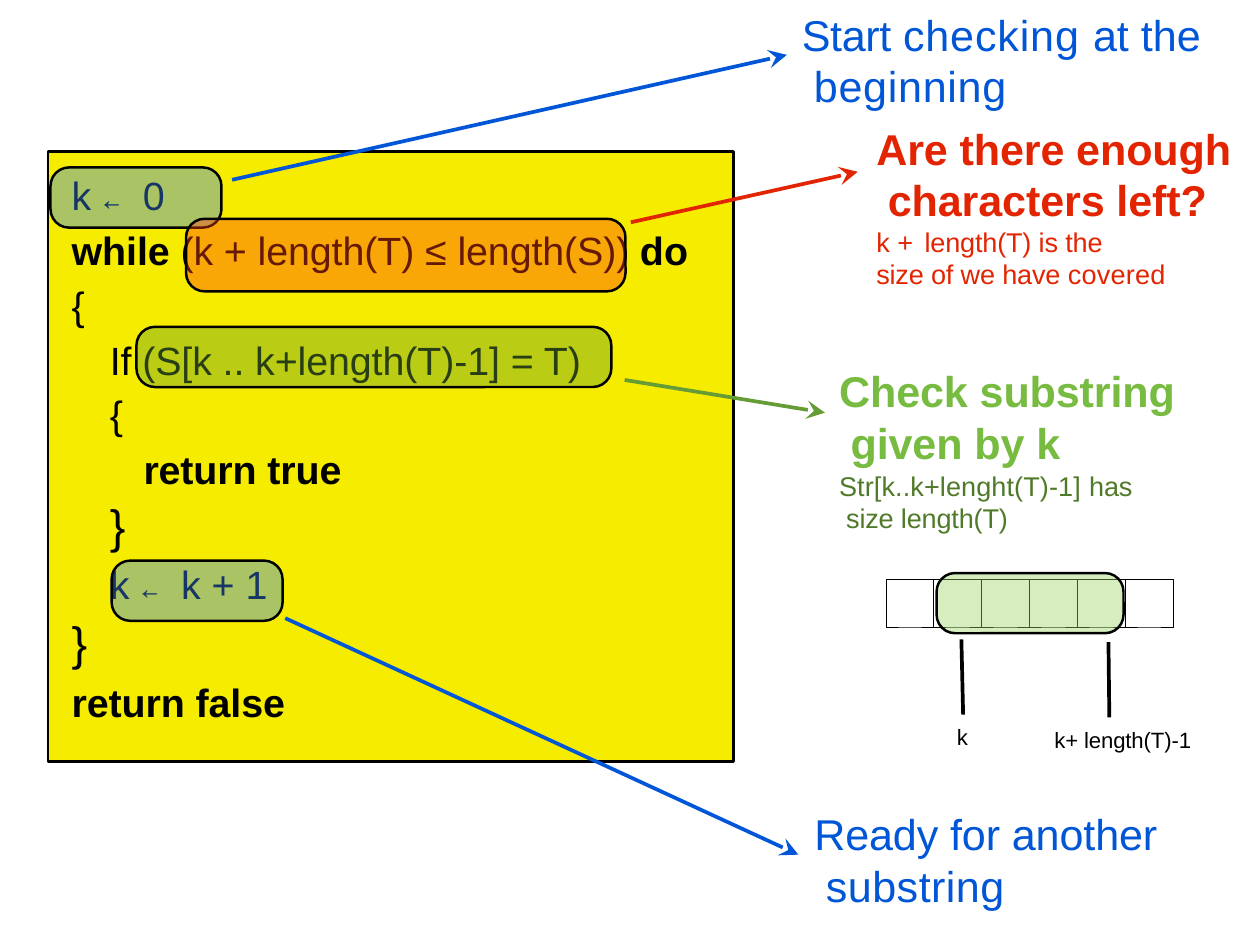
from pptx import Presentation
from pptx.dml.color import RGBColor
from pptx.enum.shapes import MSO_CONNECTOR, MSO_SHAPE
from pptx.enum.text import MSO_ANCHOR, MSO_AUTO_SIZE, PP_ALIGN
from pptx.oxml.ns import qn
from pptx.util import Inches, Pt
from lxml.etree import SubElement

BLACK = RGBColor(0x00, 0x00, 0x00)
YELLOW = RGBColor(0xF5, 0xEC, 0x00)
BLUE = RGBColor(0x00, 0x56, 0xD6)
LIGHT_BLUE = RGBColor(0x3A, 0x88, 0xFE)
RED = RGBColor(0xE3, 0x24, 0x00)
ORANGE = RGBColor(0xFF, 0x40, 0x13)
GREEN = RGBColor(0x66, 0x9C, 0x35)
LIME = RGBColor(0x77, 0xBB, 0x41)
DARK_GREEN = RGBColor(0x4F, 0x7A, 0x28)
PALE_GREEN = RGBColor(0x96, 0xD3, 0x5F)


def write(sp, box, paragraphs, color):
    sp.left, sp.top, sp.width, sp.height = [Inches(v) for v in box]
    tf = sp.text_frame
    tf.word_wrap = True
    tf.auto_size = MSO_AUTO_SIZE.NONE
    tf.vertical_anchor = MSO_ANCHOR.TOP
    tf.margin_left = tf.margin_top = tf.margin_right = tf.margin_bottom = 0
    for i, (indent, hang, before, leading, runs) in enumerate(paragraphs):
        p = tf.paragraphs[0] if i == 0 else tf.add_paragraph()
        p.alignment = PP_ALIGN.LEFT
        pPr = p._p.get_or_add_pPr()
        pPr.set("marL", str(Inches(indent + hang)))
        pPr.set("indent", str(-Inches(hang)))
        p.space_before = Pt(before)
        if leading:
            p.line_spacing = leading
        for text, size, bold, spacing, run_color in runs:
            r = p.add_run()
            r.text = text
            r.font.name = "Noto Sans Mono" if "←" in text else "Arial"
            r.font.size = Pt(size)
            r.font.bold = bold
            r.font.color.rgb = run_color or color
            r._r.get_or_add_rPr().set("spc", str(round(spacing * 100)))


def connect(x1, y1, x2, y2, color, arrow):
    c = s.shapes.add_connector(MSO_CONNECTOR.STRAIGHT, Inches(x1), Inches(y1), Inches(x2), Inches(y2))
    c.line.color.rgb = color
    c.line.width = Pt(3)
    if arrow:
        SubElement(c.line._get_or_add_ln(), qn("a:tailEnd"), type="stealth", w="lg", len="lg")
    SubElement(c._element.spPr, qn("a:effectLst"))


prs = Presentation()
prs.slide_width, prs.slide_height = Inches(14.22), Inches(10.67)
s = prs.slides.add_slide(prs.slide_layouts[5])

panel = s.shapes.add_shape(MSO_SHAPE.RECTANGLE, Inches(0.54), Inches(1.71), Inches(7.74), Inches(6.89))
panel.shadow.inherit = False
panel.fill.solid()
panel.fill.fore_color.rgb = YELLOW
panel.line.color.rgb = BLACK
panel.line.width = Pt(2)

code = [
    (0.01, 0, [("k ", 32, False, 0), ("← ", 25, False, 1.5), ("0", 32, False, 0)]),
    (0.01, 6.6, [("while ", 32, True, -0.1), ("(k + length(T) ≤ length(S)) ", 32, False, -0.1), ("do", 32, True, 0)]),
    (0.01, 6.6, [("{", 32, False, 0)]),
    (0.44, 5.6, [("If (S[k .. k+length(T)-1] = T)", 32, False, -0.1)]),
    (0.44, 5.6, [("{", 32, False, 0)]),
    (0.82, 6.2, [("return true", 32, True, -0.1)]),
    (0.44, 4.2, [("}", 38, False, 0)]),
    (0.44, 5.8, [("k ", 32, False, 0), ("← ", 25, False, 1.5), ("k + 1", 32, False, 0)]),
    (0.01, 5.2, [("}", 38, False, 0)]),
    (0.01, 6.8, [("return false", 32, True, -0.1)]),
]
write(s.shapes.add_textbox(0, 0, 0, 0), (0.8, 1.93, 7.03, 6.27),
      [(indent, 0, before, None, [(*run, None) for run in runs]) for indent, before, runs in code], BLACK)

write(s.shapes.title, (9.04, 0.09, 4.52, 1.19), [
    (0.01, 0, 0, None, [("Start ", 35, False, -0.3, None), ("checking ", 35, False, 0.7, None),
                        ("at the  ", 35, False, 0, None), ("beginning", 35, False, 0.6, None)]),
], BLUE)
write(s.shapes.add_textbox(0, 0, 0, 0), (9.88, 1.38, 4.05, 1.92), [
    (0.01, 0.13, 0, None, [("Are there enough characters left?", 35, True, -0.1, None)]),
    (0.01, 0, 0, Pt(26.2), [("k ", 22, False, 0, None), ("+ ", 22, False, 1.6, None),
                            ("length(T) is the", 22, False, -0.1, None)]),
    (0.01, 0, 0, Pt(26.2), [("size of we have ", 22, False, -0.1, None), ("covered", 22, False, 0.2, None)]),
], RED)
write(s.shapes.add_textbox(0, 0, 0, 0), (9.46, 4.12, 3.84, 1.92), [
    (0.01, 0.13, 0, None, [("Check substring given by k", 35, True, -0.1, None)]),
    (0.01, 0.08, 1.1, Pt(26), [("Str[k..k+lenght(T)-1] ", 22, False, 0.1, DARK_GREEN),
                               ("has size length(T)", 22, False, -0.1, DARK_GREEN)]),
], LIME)
write(s.shapes.add_textbox(0, 0, 0, 0), (9.18, 9.12, 3.92, 1.19), [
    (0.01, 0.13, 0, None, [("Ready for another ", 35, False, -0.1, None), ("substring", 35, False, 0.4, None)]),
], BLUE)
for label, x, y, width in [("k", 10.79, 8.17, 0.2), ("k+ length(T)-1", 11.89, 8.2, 1.7)]:
    write(s.shapes.add_textbox(0, 0, 0, 0), (x, y, width, 0.33),
          [(0.01, 0, 0, None, [(label, 18, False, -0.1, None)])], BLACK)

cell = 0.54
for i in range(6):
    sp = s.shapes.add_shape(MSO_SHAPE.RECTANGLE, Inches(10 + i * cell), Inches(6.54), Inches(cell), Inches(cell))
    sp.shadow.inherit = False
    sp.fill.background()
    sp.line.color.rgb = BLACK
    sp.line.width = Pt(0.75)

for x, y, width, height, color in [
    (0.57, 1.89, 1.93, 0.68, LIGHT_BLUE),
    (2.1, 2.47, 4.96, 0.82, ORANGE),
    (1.54, 3.69, 5.36, 0.68, GREEN),
    (1.26, 6.33, 1.93, 0.68, LIGHT_BLUE),
    (10.57, 6.47, 2.11, 0.68, PALE_GREEN),
]:
    sp = s.shapes.add_shape(MSO_SHAPE.ROUNDED_RECTANGLE, Inches(x), Inches(y), Inches(width), Inches(height))
    sp.adjustments[0] = 0.21 / height
    sp.shadow.inherit = False
    sp.fill.solid()
    sp.fill.fore_color.rgb = color
    SubElement(sp.fill._xPr.find(".//" + qn("a:srgbClr")), qn("a:alpha"), val="40000")
    sp.line.color.rgb = BLACK
    sp.line.width = Pt(2)

for x1, y1, x2, y2, color, arrow in [
    (2.62, 2.03, 8.88, 0.62, BLUE, True),
    (7.12, 2.51, 9.68, 1.94, RED, True),
    (7.05, 4.29, 9.31, 4.66, GREEN, True),
    (3.22, 6.98, 9.01, 9.65, BLUE, True),
    (10.85, 7.22, 10.87, 8.07, BLACK, False),
    (12.51, 7.25, 12.52, 8.1, BLACK, False),
]:
    connect(x1, y1, x2, y2, color, arrow)

prs.save("out.pptx")
